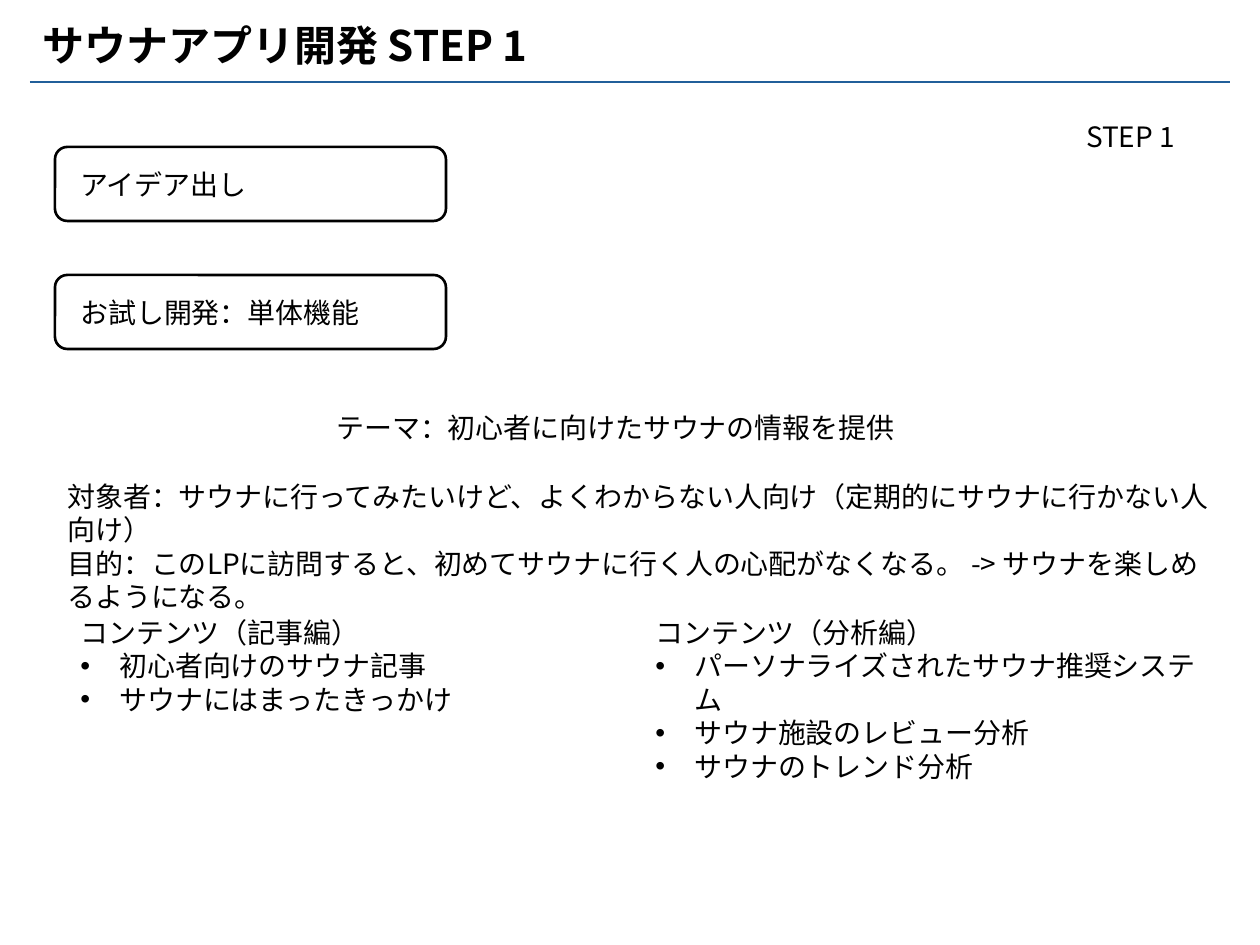
from dataclasses import dataclass

from lxml import etree
from pptx import Presentation
from pptx import util as u
from pptx.dml.color import RGBColor
from pptx.enum import shapes, text
from pptx.oxml.ns import qn

PX_PER_INCH = 126


@dataclass(frozen=True)
class Theme:
    font: str = "Noto Sans CJK JP"
    ink: str = "000000"
    paper: str = "FFFFFF"
    accent: str = "215F9A"
    body: int = 16
    title: int = 24
    line: float = 1.5


@dataclass(frozen=True)
class TextBlock:
    x: int
    y: int
    w: int
    h: int
    lines: tuple[str, ...]
    bullets: tuple[str, ...] = ()
    indent: int = 13
    centered: bool = False
    heading: bool = False


@dataclass(frozen=True)
class Phase:
    y: int
    label: str


THEME = Theme()
BULLET_INDENT, BULLET_HANG = 52, 39
PHASE_X, PHASE_W, PHASE_H = 55, 391, 74
LABEL_DY, LABEL_H = 14, 47

PHASES = (
    Phase(147, "アイデア出し"),
    Phase(275, "お試し開発：単体機能"),
)

BLOCKS = (
    TextBlock(1018, 113, 212, 47, ("STEP 1",), centered=True),
    TextBlock(311, 404, 614, 47, ("テーマ：初心者に向けたサウナの情報を提供",)),
    TextBlock(630, 609, 600, 149, ("コンテンツ（分析編）",), (
        "パーソナライズされたサウナ推奨システム",
        "サウナ施設のレビュー分析",
        "サウナのトレンド分析",
    )),
    TextBlock(55, 609, 575, 115, ("コンテンツ（記事編）",), (
        "初心者向けのサウナ記事",
        "サウナにはまったきっかけ",
    )),
    TextBlock(42, 473, 1188, 81, (
        "対象者：サウナに行ってみたいけど、よくわからない人向け（定期的にサウナに行かない人向け）",
        "目的：このLPに訪問すると、初めてサウナに行く人の心配がなくなる。 -> サウナを楽しめるようになる。",
    )),
    TextBlock(30, 13, 935, 63, ("サウナアプリ開発 STEP 1",), indent=0, heading=True),
)


def px(n: int) -> int:
    return u.Emu(round(n * 914400 / PX_PER_INCH))


def rgb(color: str) -> RGBColor:
    return RGBColor.from_string(color)


def add_paragraph(p, words: str, block: TextBlock, bullet: bool) -> None:
    if block.centered:
        p.alignment = text.PP_ALIGN.CENTER
    pPr = p._p.get_or_add_pPr()
    pPr.set("marL", str(px(BULLET_INDENT if bullet else block.indent)))
    pPr.set("indent", str(-px(BULLET_HANG) if bullet else 0))
    if bullet:
        etree.SubElement(pPr, qn("a:buFont")).set("typeface", "Arial")
        etree.SubElement(pPr, qn("a:buChar")).set("char", "•")
    r = p.add_run()
    r.text = words
    r.font.name = THEME.font
    r.font.size = u.Pt(THEME.title if block.heading else THEME.body)
    r.font.bold = block.heading
    r.font.color.rgb = rgb(THEME.ink)
    etree.SubElement(r._r.get_or_add_rPr(), qn("a:ea")).set("typeface", THEME.font)


def add_block(container, block: TextBlock) -> None:
    sp = container.add_textbox(px(block.x), px(block.y), px(block.w), px(block.h))
    tf = sp.text_frame
    tf.word_wrap = True
    tf.auto_size = text.MSO_AUTO_SIZE.SHAPE_TO_FIT_TEXT
    items = [(words, False) for words in block.lines]
    items += [(words, True) for words in block.bullets]
    for i, (words, bullet) in enumerate(items):
        p = tf.add_paragraph() if i else tf.paragraphs[0]
        add_paragraph(p, words, block, bullet)


def add_phase(s, phase: Phase) -> None:
    group = s.shapes.add_group_shape()
    sp = group.shapes.add_shape(
        shapes.MSO_SHAPE.ROUNDED_RECTANGLE,
        px(PHASE_X), px(phase.y), px(PHASE_W), px(PHASE_H),
    )
    sp.shadow.inherit = False
    sp.fill.solid()
    sp.fill.fore_color.rgb = rgb(THEME.paper)
    sp.line.color.rgb = rgb(THEME.ink)
    sp.line.width = u.Pt(THEME.line)
    add_block(group.shapes, TextBlock(
        PHASE_X, phase.y + LABEL_DY, PHASE_W, LABEL_H, (phase.label,)))


def add_rule(s, x1: int, x2: int, y: int) -> None:
    rule = s.shapes.add_connector(
        shapes.MSO_CONNECTOR.STRAIGHT, px(x1), px(y), px(x2), px(y))
    rule.line.color.rgb = rgb(THEME.accent)
    rule.line.width = u.Pt(THEME.line)
    etree.SubElement(rule._element.spPr, qn("a:effectLst"))


def main() -> None:
    prs = Presentation()
    prs.slide_width, prs.slide_height = px(1260), px(945)
    s = prs.slides.add_slide(prs.slide_layouts[6])
    add_rule(s, 30, 1230, 82)
    for phase in PHASES:
        add_phase(s, phase)
    for block in BLOCKS:
        add_block(s.shapes, block)
    prs.save("out.pptx")


if __name__ == "__main__":
    main()
